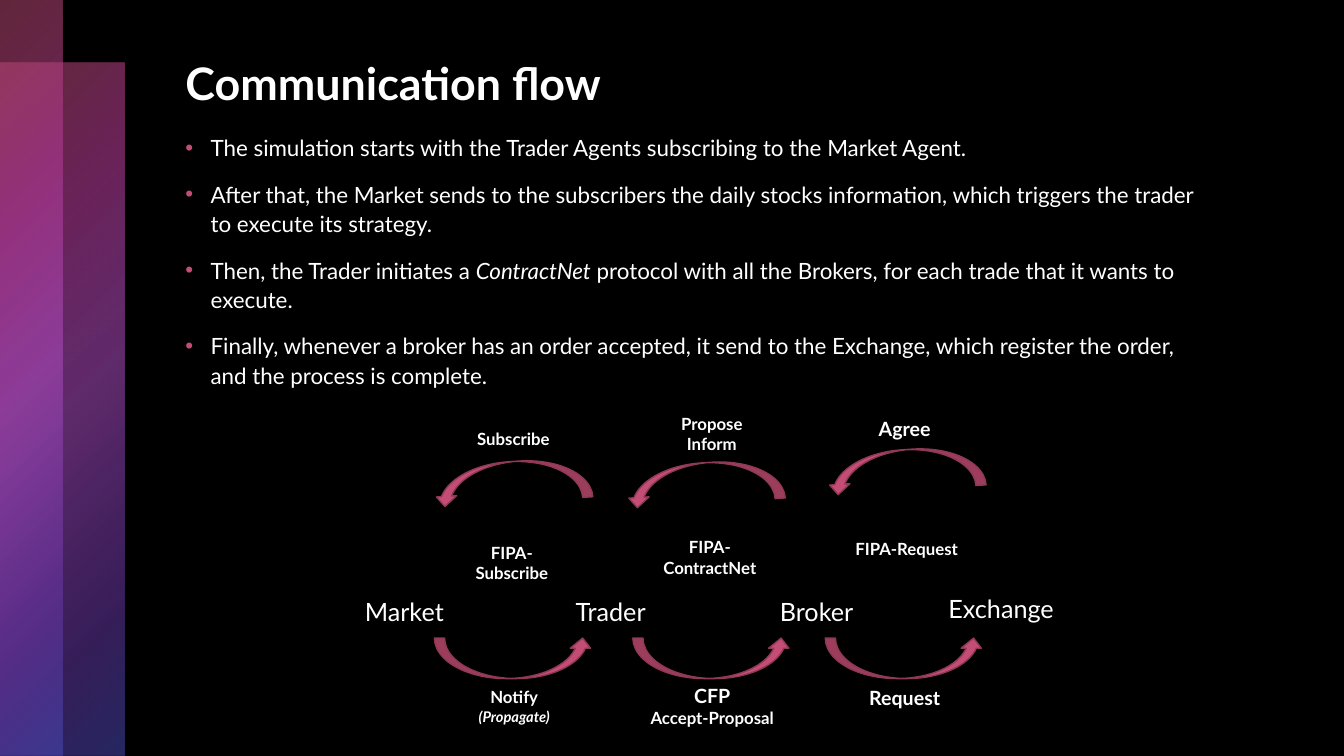
"""Builds the slide on the communication flow between the agents."""
from dataclasses import dataclass

from lxml import etree
from pptx import Presentation
from pptx.dml.color import RGBColor
from pptx.enum.shapes import MSO_SHAPE
from pptx.enum.text import MSO_ANCHOR, PP_ALIGN
from pptx.oxml import parse_xml
from pptx.oxml.ns import qn
from pptx.util import Cm, Pt

RECT, ARROW = MSO_SHAPE.RECTANGLE, MSO_SHAPE.CURVED_UP_ARROW
TOP, LEFT, CENTER = MSO_ANCHOR.TOP, PP_ALIGN.LEFT, PP_ALIGN.CENTER
FONT = "Lato"
WHITE, BLACK, PINK, PLUM = "FFFFFF", "000000", "C34D74", "903956"
A_NS = "http://schemas.openxmlformats.org/drawingml/2006/main"
GRADIENT = [(0, PINK, 50), (25, "B13B93", 60), (50, "B04DC3", 55),
            (81, "6D3BB1", 50), (99, "4D4DC3", 50)]


@dataclass
class Run:
    text: str
    size: float
    bold: bool = False
    italic: bool = False


@dataclass
class Label:
    x: float
    y: float
    w: float
    h: float
    lines: list[list[Run]]


@dataclass
class Arrow:
    x: float
    y: float
    rotation: float = 0


def bold(text: str, size: float = 12) -> list[Run]:
    return [Run(text, size, True)]


BULLETS = [
    [Run("The simulation starts with the Trader Agents subscribing to the Market Agent.", 16)],
    [Run("After that, the Market sends to the subscribers the daily stocks information, "
         "which triggers the trader to execute its strategy.", 16)],
    [Run("Then, the Trader initiates a ", 16), Run("ContractNet", 16, italic=True),
     Run(" protocol with all the Brokers, for each trade that it wants to execute.", 16)],
    [Run("Finally, whenever a broker has an order accepted, it send to the Exchange, "
         "which register the order, and the process is complete.", 16)],
]
AGENTS = [
    Label(8.74, 14.91, 2.9, 1.02, [[Run("Market", 18)]]),
    Label(13.94, 14.91, 2.9, 1.02, [[Run("Trader", 18)]]),
    Label(19.13, 14.91, 2.9, 1.02, [[Run("Broker", 18)]]),
    Label(23.44, 14.83, 3.58, 1.02, [[Run("Exchange", 18)]]),
]
ARROWS = [
    Arrow(10.95, 16.08), Arrow(15.95, 16.08), Arrow(20.8, 16.08),
    Arrow(15.77, 11.66, 176.2), Arrow(10.92, 11.63, 176.2), Arrow(20.83, 11.33, 176.2),
]
MESSAGES = [
    Label(11.51, 17.12, 2.9, 1.32, [[Run("Notify", 12, True), Run(" ", 14, True),
                                     Run("(Propagate)", 10.5, True, True)]]),
    Label(11.38, 10.69, 3.12, 0.76, [bold("Subscribe")]),
    Label(16.38, 10.29, 3.12, 1.27, [bold("Propose"), bold("Inform")]),
    Label(15.6, 17.12, 4.7, 1.37, [bold("CFP", 14), bold("Accept-Proposal")]),
    Label(20.45, 10.39, 4.7, 0.86, [bold("Agree", 14)]),
    Label(20.45, 17.15, 4.7, 0.86, [bold("Request", 14)]),
    Label(11.53, 13.54, 2.74, 1.27, [bold("FIPA-Subscribe")]),
    Label(16.33, 13.41, 3.12, 1.27, [bold("FIPA-ContractNet")]),
    Label(21.29, 13.44, 3.12, 1.27, [bold("FIPA-Request")]),
]


def rgb(color: str) -> RGBColor:
    return RGBColor.from_string(color)


def add_runs(p, runs: list[Run]) -> None:
    for run in runs:
        r = p.add_run()
        r.text = run.text
        r.font.name = FONT
        r.font.size = Pt(run.size)
        r.font.bold = run.bold
        r.font.italic = run.italic
        r.font.color.rgb = rgb(WHITE)


def add_bar(s, y: float, w: float, h: float) -> None:
    sp = s.shapes.add_shape(RECT, 0, Cm(y), Cm(w), Cm(h))
    sp.shadow.inherit = False
    sp.line.fill.background()
    sp.fill.background()
    stops = "".join(
        f'<a:gs pos="{pos * 1000}"><a:srgbClr val="{color}">'
        f'<a:alpha val="{alpha * 1000}"/></a:srgbClr></a:gs>'
        for pos, color, alpha in GRADIENT)
    gradient = parse_xml(
        f'<a:gradFill xmlns:a="{A_NS}" rotWithShape="1"><a:gsLst>{stops}</a:gsLst>'
        '<a:path path="circle"><a:fillToRect r="100000" b="100000"/></a:path></a:gradFill>')
    spPr = sp.element.spPr
    spPr.replace(spPr.find(qn("a:noFill")), gradient)


def add_title(s, text: str) -> None:
    sp = s.shapes.title
    sp.left, sp.top, sp.width, sp.height = Cm(4.42), Cm(1.27), Cm(26.34), Cm(1.93)
    tf = sp.text_frame
    tf.vertical_anchor = TOP
    tf.paragraphs[0].alignment = LEFT
    add_runs(tf.paragraphs[0], bold(text, 32))


def add_text(s, label: Label):
    tb = s.shapes.add_textbox(Cm(label.x), Cm(label.y), Cm(label.w), Cm(label.h))
    tf = tb.text_frame
    tf.word_wrap = True
    for i, runs in enumerate(label.lines):
        p = tf.add_paragraph() if i else tf.paragraphs[0]
        p.alignment = CENTER
        add_runs(p, runs)
    return tf


def add_bullets(s, label: Label) -> None:
    tf = add_text(s, label)
    for i, p in enumerate(tf.paragraphs):
        pPr = p._p.get_or_add_pPr()
        pPr.set("marL", str(Cm(0.64)))
        pPr.set("indent", str(-Cm(0.64)))
        color = etree.SubElement(pPr, qn("a:buClr"))
        etree.SubElement(color, qn("a:srgbClr"), val=PINK)
        etree.SubElement(pPr, qn("a:buFont"), typeface="Arial")
        etree.SubElement(pPr, qn("a:buChar"), char="•")
        p.alignment = LEFT
        p.line_spacing = 1.1
        p.space_before = Pt(12 if i else 0)


def add_arrow(s, arrow: Arrow) -> None:
    sp = s.shapes.add_shape(ARROW, Cm(arrow.x), Cm(arrow.y), Cm(3.99), Cm(1.02))
    sp.shadow.inherit = False
    sp.rotation = arrow.rotation
    sp.fill.solid()
    sp.fill.fore_color.rgb = rgb(PINK)
    sp.line.color.rgb = rgb(PLUM)
    sp.line.width = Pt(1)


def main() -> None:
    prs = Presentation()
    prs.slide_width, prs.slide_height = Cm(33.87), Cm(19.05)
    s = prs.slides.add_slide(prs.slide_layouts[5])
    s.background.fill.solid()
    s.background.fill.fore_color.rgb = rgb(BLACK)
    add_bar(s, 1.57, 3.15, 17.48)
    add_bar(s, 0, 1.57, 19.05)
    add_title(s, "Communication flow")
    add_bullets(s, Label(4.42, 3.2, 26.34, 13.72, BULLETS))
    for agent in AGENTS:
        add_text(s, agent)
    for arrow in ARROWS:
        add_arrow(s, arrow)
    for message in MESSAGES:
        add_text(s, message)
    prs.save("out.pptx")


if __name__ == "__main__":
    main()
